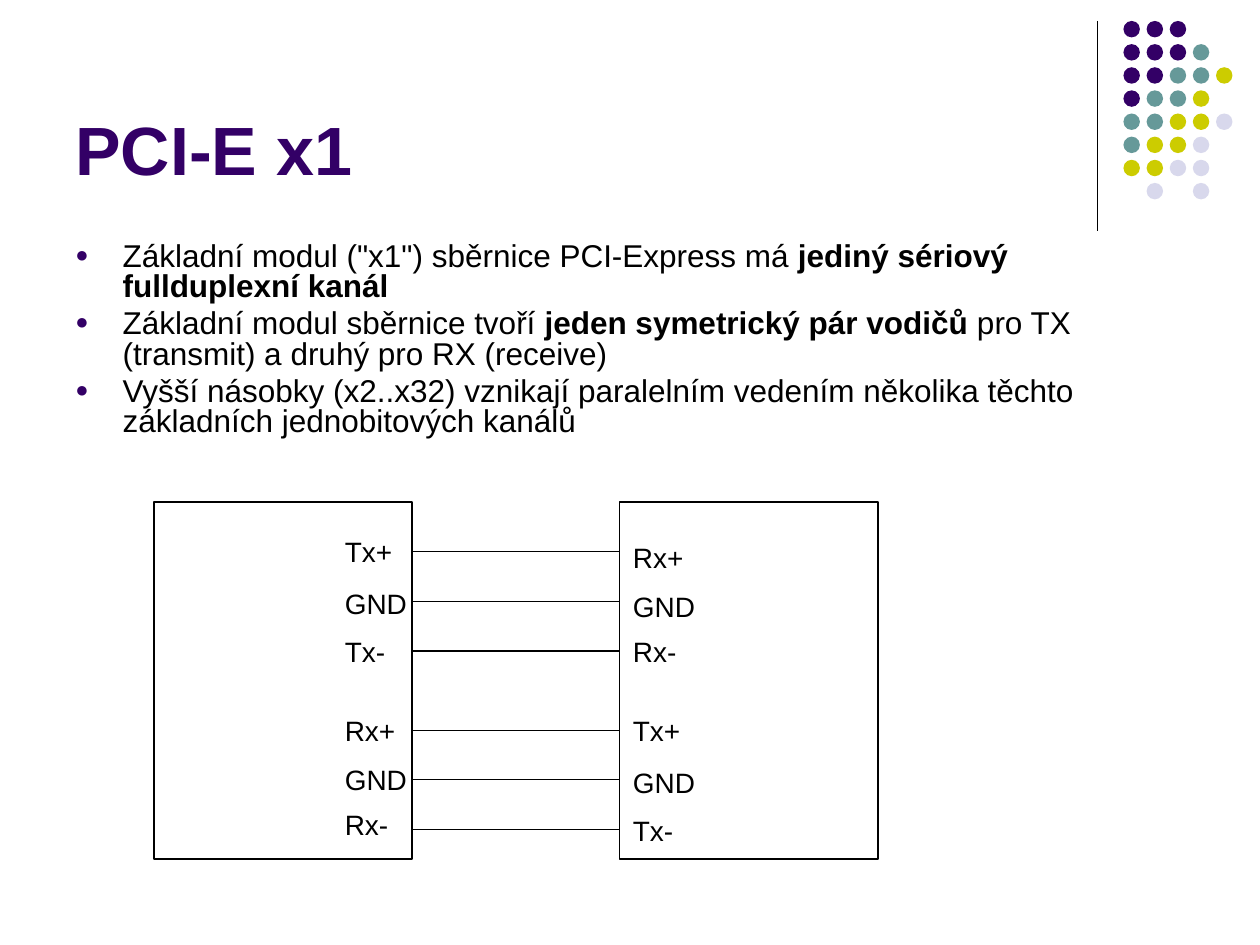
from lxml import etree
from pptx import Presentation
from pptx.dml.color import RGBColor
from pptx.enum.shapes import MSO_CONNECTOR, MSO_SHAPE
from pptx.enum.text import MSO_ANCHOR
from pptx.oxml.ns import qn
from pptx.util import Pt

STRAIGHT = MSO_CONNECTOR.STRAIGHT
OVAL = MSO_SHAPE.OVAL
RECTANGLE = MSO_SHAPE.RECTANGLE
TOP, BOTTOM = MSO_ANCHOR.TOP, MSO_ANCHOR.BOTTOM

PURPLE, BLACK = "330066", "000000"
DOT_COLORS = {"P": PURPLE, "T": "669999", "Y": "CCCC00", "L": "D8D8EC"}
DOT_ROWS = ["PPP", "PPPT", "PPTTY", "PTTY", "TTYYL", "TYYL", "YYLL", ".L.L"]

BULLETS = [
    [('Základní modul ("x1") sběrnice PCI-Express má ', False),
     ("jediný sériový fullduplexní kanál", True)],
    [("Základní modul sběrnice tvoří ", False),
     ("jeden symetrický pár vodičů", True),
     (" pro TX (transmit) a druhý pro RX (receive)", False)],
    [("Vyšší násobky (x2..x32) vznikají paralelním vedením několika těchto "
      "základních jednobitových kanálů", False)],
]

DEVICE_LEFTS = [88, 354]
DEVICE_TOP, DEVICE_WIDTH, DEVICE_HEIGHT = 287, 147.6, 204
WIRE_TOPS = [315.2, 343.6, 372, 417.3, 445.6, 473.9]
LEFT_PINS = [("Tx+", 301.7), ("GND", 331.9), ("Tx-", 359.3),
             ("Rx+", 404.3), ("GND", 432.2), ("Rx-", 458)]
RIGHT_PINS = [("Rx+", 305.1), ("GND", 333.6), ("Rx-", 359.3),
              ("Tx+", 404.3), ("GND", 434), ("Tx-", 461.5)]


def color(value):
    return RGBColor.from_string(value)


def apply(target, formats):
    for name, value in formats.items():
        setattr(target, name, value)


def add_text(slide, left, top, width, height, anchor=TOP):
    box = slide.shapes.add_textbox(Pt(left), Pt(top), Pt(width), Pt(height))
    apply(box.text_frame, {"word_wrap": True, "vertical_anchor": anchor})
    return box.text_frame


def add_run(paragraph, text, size, tint=BLACK, bold=False):
    run = paragraph.add_run()
    run.text = text
    apply(run.font, {"name": "Arial", "size": Pt(size), "bold": bold})
    run.font.color.rgb = color(tint)


def add_line(slide, x1, y1, x2, y2):
    line = slide.shapes.add_connector(STRAIGHT, Pt(x1), Pt(y1), Pt(x2), Pt(y2))
    line.line.color.rgb = color(BLACK)
    line.line.width = Pt(0.75)
    etree.SubElement(line._element.spPr, qn("a:effectLst"))


def add_dot(slide, left, top, tint):
    dot = slide.shapes.add_shape(OVAL, Pt(left), Pt(top), Pt(9.4), Pt(9.4))
    dot.shadow.inherit = False
    dot.fill.solid()
    dot.fill.fore_color.rgb = color(tint)
    dot.line.fill.background()


def add_device(slide, left):
    device = slide.shapes.add_shape(RECTANGLE, Pt(left), Pt(DEVICE_TOP),
                                    Pt(DEVICE_WIDTH), Pt(DEVICE_HEIGHT))
    device.shadow.inherit = False
    device.fill.background()
    device.line.color.rgb = color(BLACK)
    device.line.width = Pt(1)


def add_bullet_mark(paragraph):
    properties = paragraph._p.get_or_add_pPr()
    apply_indent = {"marL": Pt(27), "indent": -Pt(27)}
    for name, value in apply_indent.items():
        properties.set(name, str(value))
    tint = etree.SubElement(properties, qn("a:buClr"))
    etree.SubElement(tint, qn("a:srgbClr"), val=PURPLE)
    etree.SubElement(properties, qn("a:buSzPct"), val="70000")
    etree.SubElement(properties, qn("a:buFont"), typeface="Arial")
    etree.SubElement(properties, qn("a:buChar"), char="●")


def add_bullets(slide):
    frame = add_text(slide, 36, 135.4, 648, 347)
    for index, parts in enumerate(BULLETS):
        paragraph = frame.add_paragraph() if index else frame.paragraphs[0]
        add_bullet_mark(paragraph)
        apply(paragraph, {"line_spacing": 0.8,
                          "space_before": Pt(4 if index else 0)})
        for text, bold in parts:
            add_run(paragraph, text, 18, bold=bold)


def add_dot_pattern(slide):
    for row, codes in enumerate(DOT_ROWS):
        for column, code in enumerate(codes):
            if code in DOT_COLORS:
                add_dot(slide, 642 + 13.22 * column, 12 + 13.22 * row,
                        DOT_COLORS[code])


def add_pins(slide, left, pins):
    for name, top in pins:
        frame = add_text(slide, left, top, 52, 26.6)
        add_run(frame.paragraphs[0], name, 16)


def main():
    deck = Presentation()
    apply(deck, {"slide_width": Pt(720), "slide_height": Pt(540)})
    slide = deck.slides.add_slide(deck.slide_layouts[6])

    add_line(slide, 627, 12, 627, 132)
    add_dot_pattern(slide)
    title = add_text(slide, 36, 9.4, 594, 102, BOTTOM)
    add_run(title.paragraphs[0], "PCI-E x1", 39, PURPLE, True)
    add_bullets(slide)

    for left in DEVICE_LEFTS:
        add_device(slide, left)
    for top in WIRE_TOPS:
        add_line(slide, DEVICE_LEFTS[0] + DEVICE_WIDTH, top,
                 DEVICE_LEFTS[1], top)
    add_pins(slide, 190, LEFT_PINS)
    add_pins(slide, 354.6, RIGHT_PINS)

    deck.save("out.pptx")


if __name__ == "__main__":
    main()
